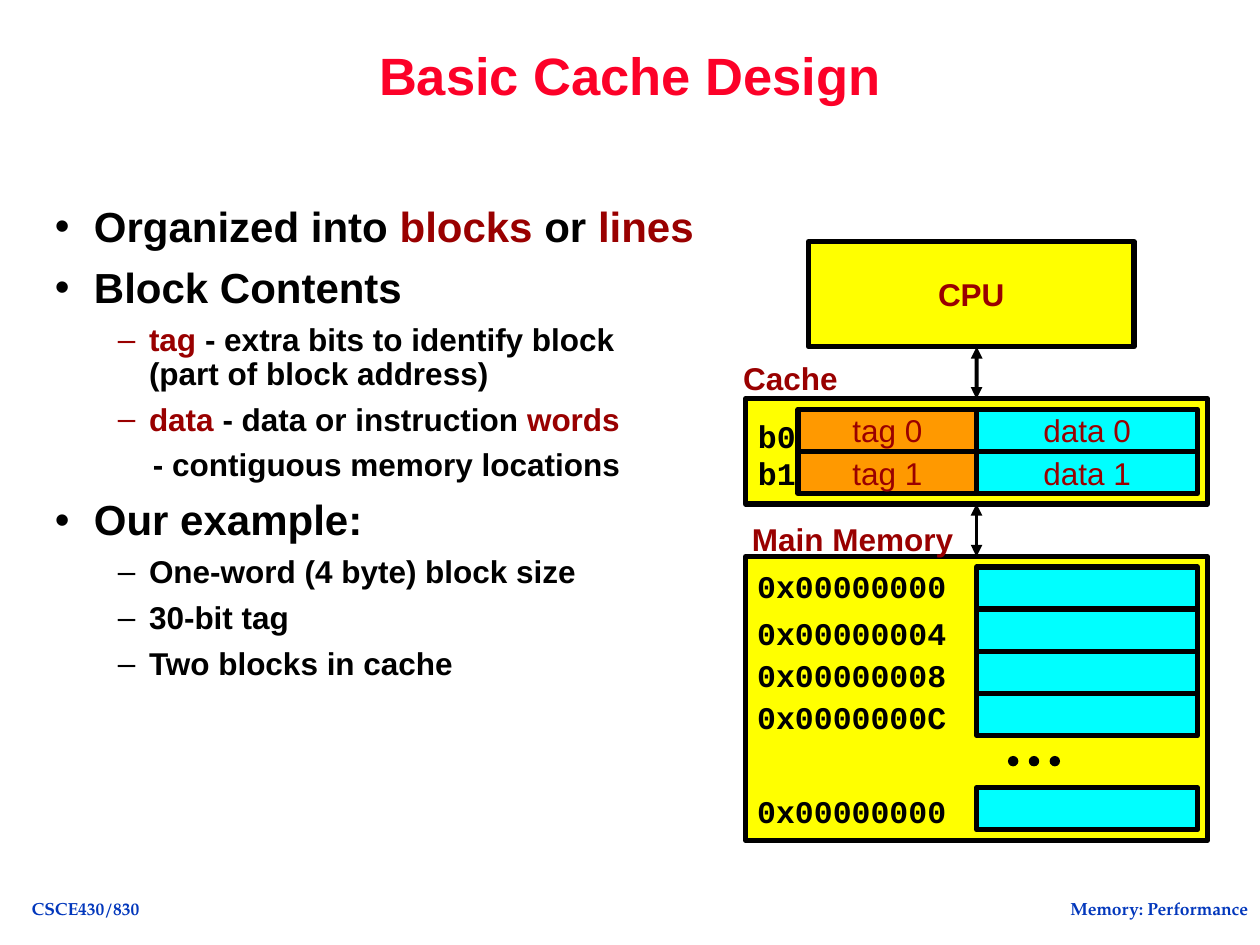
from lxml import etree
from pptx import Presentation
from pptx.dml.color import RGBColor
from pptx.enum.shapes import MSO_CONNECTOR, MSO_SHAPE
from pptx.enum.text import MSO_ANCHOR, MSO_AUTO_SIZE, PP_ALIGN
from pptx.oxml.ns import qn
from pptx.util import Cm, Pt

COLORS = {
    "black": "000000", "title": "FC0128", "accent": "990000", "footer": "0237BC",
    "box": "FFFF00", "tag": "FF9900", "data": "00FFFF",
}
SANS, MONO, SERIF = "Arial", "Courier New", "TeX Gyre Pagella"
ROW_HEIGHT = 0.85
DATA_LEFT, DATA_WIDTH = 4.66, 4.45
BOX_PADDING = 0.21

# (level, bullet color or None, runs as (text, color))
OUTLINE = [
    (0, "black", [("Organized into ", "black"), ("blocks", "accent"),
                  (" or ", "black"), ("lines", "accent")]),
    (0, "black", [("Block Contents", "black")]),
    (1, "accent", [("tag", "accent"), (" - extra bits to identify block", "black"),
                   "break", ("(part of block address)", "black")]),
    (1, "accent", [("data", "accent"), (" - data or instruction ", "black"),
                   ("words", "accent")]),
    (1, None, [("- contiguous memory locations", "black")]),
    (0, "black", [("Our example:", "black")]),
    (1, "black", [("One-word (4 byte) block size", "black")]),
    (1, "black", [("30-bit tag", "black")]),
    (1, "black", [("Two blocks in cache", "black")]),
]
# (bullet, size, space before, left margin, first-line indent)
LEVELS = [("•", 24, 9, 0.79, -0.79), ("–", 18, 6.75, 1.9, -0.63)]


def rgb(name):
    return RGBColor.from_string(COLORS[name])


def add_span(para, text, size, color, font=SANS, bold=True):
    span = para.add_run()
    span.text = text
    span.font.name, span.font.size, span.font.bold = font, Pt(size), bold
    span.font.color.rgb = rgb(color)


def move(shape, left, top, width, height):
    shape.left, shape.top, shape.width, shape.height = map(Cm, (left, top, width, height))


def add_label(page, text, left, top, width, height=1.02, size=18, color="black",
              font=MONO, align=PP_ALIGN.CENTER):
    label = page.shapes.add_textbox(Cm(left), Cm(top), Cm(width), Cm(height))
    frame = label.text_frame
    frame.word_wrap = False
    frame.vertical_anchor = MSO_ANCHOR.MIDDLE
    frame.paragraphs[0].alignment = align
    add_span(frame.paragraphs[0], text, size, color, font)


def add_box(page, left, top, width, height, fill, text="", bold=False):
    box = page.shapes.add_shape(MSO_SHAPE.RECTANGLE, Cm(left), Cm(top), Cm(width), Cm(height))
    box.shadow.inherit = False
    box.fill.solid()
    box.fill.fore_color.rgb = rgb(fill)
    box.line.color.rgb = rgb("black")
    box.line.width = Pt(3)
    if text:
        frame = box.text_frame
        frame.word_wrap = False
        frame.vertical_anchor = MSO_ANCHOR.MIDDLE
        frame.paragraphs[0].alignment = PP_ALIGN.CENTER
        add_span(frame.paragraphs[0], text, 18, "accent", bold=bold)
    return box


def add_double_arrow(page, x, top, bottom):
    arrow = page.shapes.add_connector(MSO_CONNECTOR.STRAIGHT, Cm(x), Cm(top), Cm(x), Cm(bottom))
    arrow.line.color.rgb = rgb("black")
    arrow.line.width = Pt(2.25)
    line = arrow.line._get_or_add_ln()
    for end in ("a:headEnd", "a:tailEnd"):
        etree.SubElement(line, qn(end), type="triangle")
    etree.SubElement(arrow._element.spPr, qn("a:effectLst"))
    return arrow


def add_title(page, left, top, width, height):
    title = page.shapes.title
    move(title, left, top, width, height)
    frame = title.text_frame
    frame.auto_size = MSO_AUTO_SIZE.NONE
    frame.vertical_anchor = MSO_ANCHOR.MIDDLE
    para = frame.paragraphs[0]
    para.alignment = PP_ALIGN.CENTER
    para.line_spacing = 0.9
    add_span(para, "Basic Cache Design", 30, "title")


def set_bullet(para, bullet, color, margin, indent):
    props = para._p.get_or_add_pPr()
    props.set("marL", str(Cm(margin)))
    props.set("indent", str(Cm(indent)))
    if color is None:
        etree.SubElement(props, qn("a:buNone"))
        return
    tint = etree.SubElement(props, qn("a:buClr"))
    etree.SubElement(tint, qn("a:srgbClr"), val=COLORS[color])
    etree.SubElement(props, qn("a:buChar"), char=bullet)


def add_outline(page, left, top, width, height):
    body = page.placeholders[1]
    move(body, left, top, width, height)
    frame = body.text_frame
    frame.auto_size = MSO_AUTO_SIZE.NONE
    for index, (level, bullet_color, spans) in enumerate(OUTLINE):
        para = frame.add_paragraph() if index else frame.paragraphs[0]
        bullet, size, gap, margin, indent = LEVELS[level]
        if bullet_color is None:
            margin, indent = 1.98, 0
        para.level = level
        para.line_spacing = 0.9
        para.space_before = Pt(gap if index else 0)
        set_bullet(para, bullet, bullet_color, margin, indent)
        for span in spans:
            if span == "break":
                para.add_line_break()
            else:
                add_span(para, span[0], size, span[1])


def add_cache(page, left, top, width, height):
    cache = add_box(page, left, top, width, height, "box")
    tag_left, first_row = 1.06, top + BOX_PADDING
    for row in range(2):
        row_top = first_row + row * ROW_HEIGHT
        add_box(page, left + tag_left, row_top, DATA_LEFT - tag_left, ROW_HEIGHT,
                "tag", f"tag {row}")
        add_box(page, left + DATA_LEFT, row_top, DATA_WIDTH, ROW_HEIGHT, "data", f"data {row}")
        add_label(page, f"b{row}", left, top + 0.24 + row * 0.74, 1.27, align=PP_ALIGN.LEFT)
    add_label(page, "Cache", left - 0.3, top - 0.93, 2.41, color="accent", font=SANS)
    return cache


def add_memory(page, left, top, width, height):
    memory = add_box(page, left, top, width, height, "box")
    addresses = ["0x00000000", "0x00000004", "0x00000008", "0x0000000C", "0x00000000"]
    last_row = len(addresses) - 1
    for row, address in enumerate(addresses):
        offset = 4.66 if row == last_row else BOX_PADDING + row * ROW_HEIGHT
        add_box(page, left + DATA_LEFT, top + offset, DATA_WIDTH, ROW_HEIGHT, "data")
        rise = 0.04 if row else 0.13
        add_label(page, address, left - 0.02, top + offset - rise, 4.32)
    for step in range(3):
        dot = page.shapes.add_shape(MSO_SHAPE.OVAL, Cm(left + 5.29 + step * 0.42),
                                    Cm(top + 4.02), Cm(0.21), Cm(0.21))
        dot.shadow.inherit = False
        dot.fill.solid()
        dot.fill.fore_color.rgb = rgb("black")
        dot.line.fill.background()
    add_label(page, "Main Memory", left - 0.12, top - 0.86, 4.57, color="accent",
              font=SANS, align=PP_ALIGN.LEFT)
    return memory


def add_hierarchy(page, left, top):
    """Stack CPU, cache and main memory, joined by double arrows."""
    width, middle = 9.31, left + 4.66
    cpu_height, cache_top, cache_height, memory_top = 2.12, top + 3.17, 2.12, top + 6.35
    add_box(page, left + 1.27, top, 6.56, cpu_height, "box", "CPU", bold=True)
    cache = add_cache(page, left, cache_top, width, cache_height)
    memory = add_memory(page, left, memory_top, width, 5.72)
    cpu_link = add_double_arrow(page, middle, top + cpu_height, cache_top)
    cpu_link.end_connect(cache, 0)
    memory_link = add_double_arrow(page, middle, cache_top + cache_height, memory_top)
    memory_link.begin_connect(cache, 2)
    memory_link.end_connect(memory, 0)


def add_footer(page, top):
    for text, left, width in (("CSCE430/830", 0.38, 2.69), ("Memory: Performance", 21.11, 4.52)):
        add_label(page, text, left, top, width, 0.66, 10, "footer", SERIF)


def main():
    deck = Presentation()
    deck.slide_width, deck.slide_height = Cm(25.4), Cm(19.05)
    page = deck.slides.add_slide(deck.slide_layouts[1])
    add_footer(page, 17.98)
    add_title(page, 2.75, 0, 19.9, 3.18)
    add_outline(page, 0.85, 4.02, 13.97, 11.43)
    add_hierarchy(page, 15.03, 4.87)
    deck.save("out.pptx")


if __name__ == "__main__":
    main()
